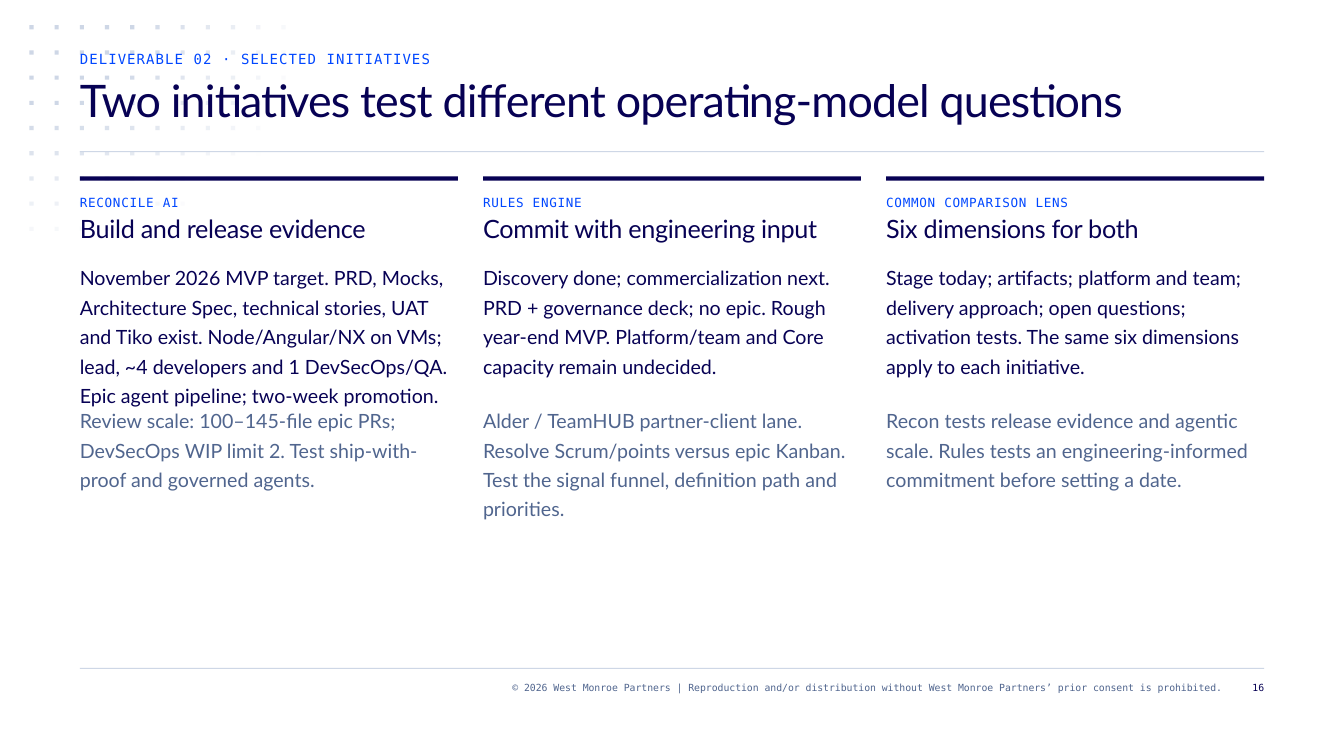
import dataclasses
import math

import lxml.etree
import pptx
import pptx.dml.color
import pptx.enum.shapes
import pptx.enum.text
import pptx.oxml.ns
import pptx.slide
import pptx.util

EMU_PER_PX = 9525
NAVY = "070154"
BLUE = "0047FF"
SLATE = "50658E"
MIST = "CED7E6"
MONO = "DejaVu Sans Mono"
SANS = "Lato"

MARGIN = 76
CONTENT_WIDTH = 1128
COLUMN_WIDTH = 360
COLUMN_STEP = 384
BODY_LINE = 28
DOT_STEP = 24
DOT_SIZE = 4
DOT_COLUMNS = 11
DOT_ROWS = 9


@dataclasses.dataclass(frozen=True)
class TextStyle:
    font: str
    size: int
    color: str
    line_points: int
    tracking: float = 0
    right_aligned: bool = False


@dataclasses.dataclass(frozen=True)
class Initiative:
    label: str
    heading: str
    status: str
    status_lines: int
    test: str
    test_lines: int


EYEBROW = TextStyle(MONO, 10, BLUE, 12, 0.8)
TITLE = TextStyle(SANS, 32, NAVY, 36, -0.6)
LABEL = TextStyle(MONO, 9, BLUE, 12, 0.5)
HEADING = TextStyle(SANS, 18, NAVY, 24, -0.2)
STATUS = TextStyle(SANS, 14, NAVY, 21)
TEST = TextStyle(SANS, 14, SLATE, 21)
COPYRIGHT = TextStyle(MONO, 7, SLATE, 9, right_aligned=True)
PAGE_NUMBER = TextStyle(MONO, 7, NAVY, 9, right_aligned=True)

INITIATIVES = [
    Initiative(
        "RECONCILE AI",
        "Build and release evidence",
        "November 2026 MVP target. PRD, Mocks, Architecture Spec, technical stories, UAT "
        "and Tiko exist. Node/Angular/NX on VMs; lead, ~4 developers and 1 DevSecOps/QA. "
        "Epic agent pipeline; two-week promotion.",
        5,
        "Review scale: 100–145-file epic PRs; DevSecOps WIP limit 2. "
        "Test ship-with-proof and governed agents.",
        3,
    ),
    Initiative(
        "RULES ENGINE",
        "Commit with engineering input",
        "Discovery done; commercialization next. PRD + governance deck; no epic. "
        "Rough year-end MVP. Platform/team and Core capacity remain undecided.",
        4,
        "Alder / TeamHUB partner-client lane. Resolve Scrum/points versus epic Kanban. "
        "Test the signal funnel, definition path and priorities.",
        4,
    ),
    Initiative(
        "COMMON COMPARISON LENS",
        "Six dimensions for both",
        "Stage today; artifacts; platform and team; delivery approach; open questions; "
        "activation tests. The same six dimensions apply to each initiative.",
        4,
        "Recon tests release evidence and agentic scale. "
        "Rules tests an engineering-informed commitment before setting a date.",
        3,
    ),
]


def px(length: int) -> pptx.util.Emu:
    return pptx.util.Emu(length * EMU_PER_PX)


def rgb(color: str) -> pptx.dml.color.RGBColor:
    return pptx.dml.color.RGBColor.from_string(color)


def add_bar(
    slide: pptx.slide.Slide,
    left: int,
    top: int,
    width: int,
    height: int,
    color: str,
    opacity: int = 100,
) -> None:
    shape = slide.shapes.add_shape(
        pptx.enum.shapes.MSO_SHAPE.RECTANGLE, px(left), px(top), px(width), px(height)
    )
    shape.shadow.inherit = False
    shape.line.fill.background()
    shape.fill.solid()
    shape.fill.fore_color.rgb = rgb(color)
    if opacity < 100:
        fill_color = shape._element.spPr.find(".//" + pptx.oxml.ns.qn("a:srgbClr"))
        alpha = lxml.etree.SubElement(fill_color, pptx.oxml.ns.qn("a:alpha"))
        alpha.set("val", str(opacity * 1000))


def add_text(
    slide: pptx.slide.Slide,
    left: int,
    top: int,
    width: int,
    height: int,
    text: str,
    style: TextStyle,
) -> None:
    box = slide.shapes.add_textbox(px(left), px(top), px(width), px(height))
    frame = box.text_frame
    frame.word_wrap = True
    frame.margin_left = frame.margin_right = 0
    frame.margin_top = frame.margin_bottom = 0
    paragraph = frame.paragraphs[0]
    paragraph.line_spacing = pptx.util.Pt(style.line_points)
    if style.right_aligned:
        paragraph.alignment = pptx.enum.text.PP_ALIGN.RIGHT
    run = paragraph.add_run()
    run.text = text
    run.font.name = style.font
    run.font.size = pptx.util.Pt(style.size)
    run.font.color.rgb = rgb(style.color)
    if style.tracking:
        run._r.get_or_add_rPr().set("spc", str(round(style.tracking * 100)))


def add_fading_dots(slide: pptx.slide.Slide) -> None:
    for column in range(DOT_COLUMNS):
        for row in range(DOT_ROWS):
            distance = math.hypot(column, 1.22 * row)
            opacity = min(100, int(153.5 - 13.85 * distance))
            if opacity >= 2:
                left = 28 + column * DOT_STEP
                top = 24 + row * DOT_STEP
                add_bar(slide, left, top, DOT_SIZE, DOT_SIZE, MIST, opacity)


def add_initiative(slide: pptx.slide.Slide, left: int, initiative: Initiative) -> None:
    add_bar(slide, left, 168, COLUMN_WIDTH, 4, NAVY)
    rows = [
        (184, 16, initiative.label, LABEL),
        (200, 32, initiative.heading, HEADING),
        (248, initiative.status_lines * BODY_LINE, initiative.status, STATUS),
        (384, initiative.test_lines * BODY_LINE, initiative.test, TEST),
    ]
    for top, height, text, style in rows:
        add_text(slide, left, top, COLUMN_WIDTH, height, text, style)


def main() -> None:
    presentation = pptx.Presentation()
    presentation.slide_width = px(1280)
    presentation.slide_height = px(720)
    slide = presentation.slides.add_slide(presentation.slide_layouts[6])

    add_fading_dots(slide)
    for rule_top in (144, 636):
        add_bar(slide, MARGIN, rule_top, CONTENT_WIDTH, 1, MIST)
    add_text(slide, MARGIN, 48, CONTENT_WIDTH, 16, "DELIVERABLE 02 · SELECTED INITIATIVES", EYEBROW)
    add_text(
        slide, MARGIN, 72, CONTENT_WIDTH, 72,
        "Two initiatives test different operating-model questions", TITLE,
    )
    for index, initiative in enumerate(INITIATIVES):
        add_initiative(slide, MARGIN + index * COLUMN_STEP, initiative)
    add_text(
        slide, 228, 648, 936, 24,
        "© 2026 West Monroe Partners | Reproduction and/or distribution without "
        "West Monroe Partners’ prior consent is prohibited.",
        COPYRIGHT,
    )
    add_text(slide, 1172, 648, 32, 24, "16", PAGE_NUMBER)
    presentation.save("out.pptx")


if __name__ == "__main__":
    main()
